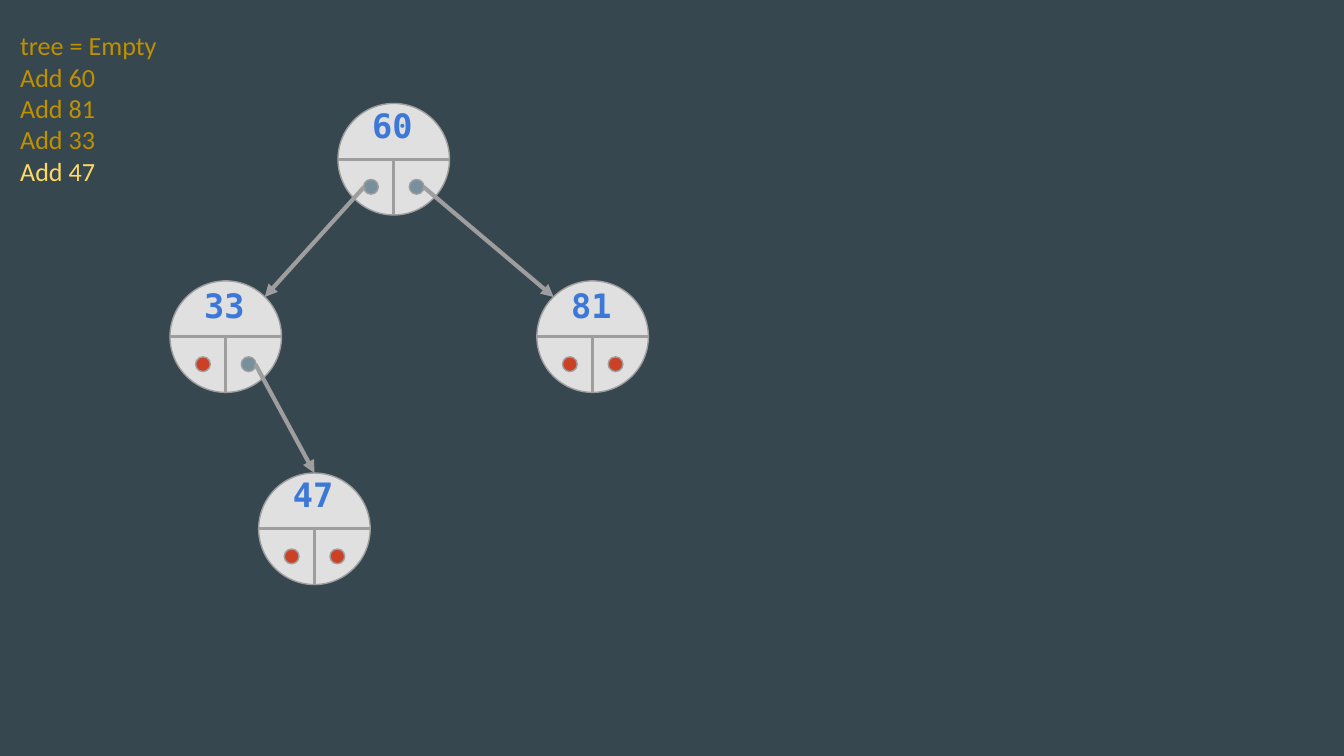
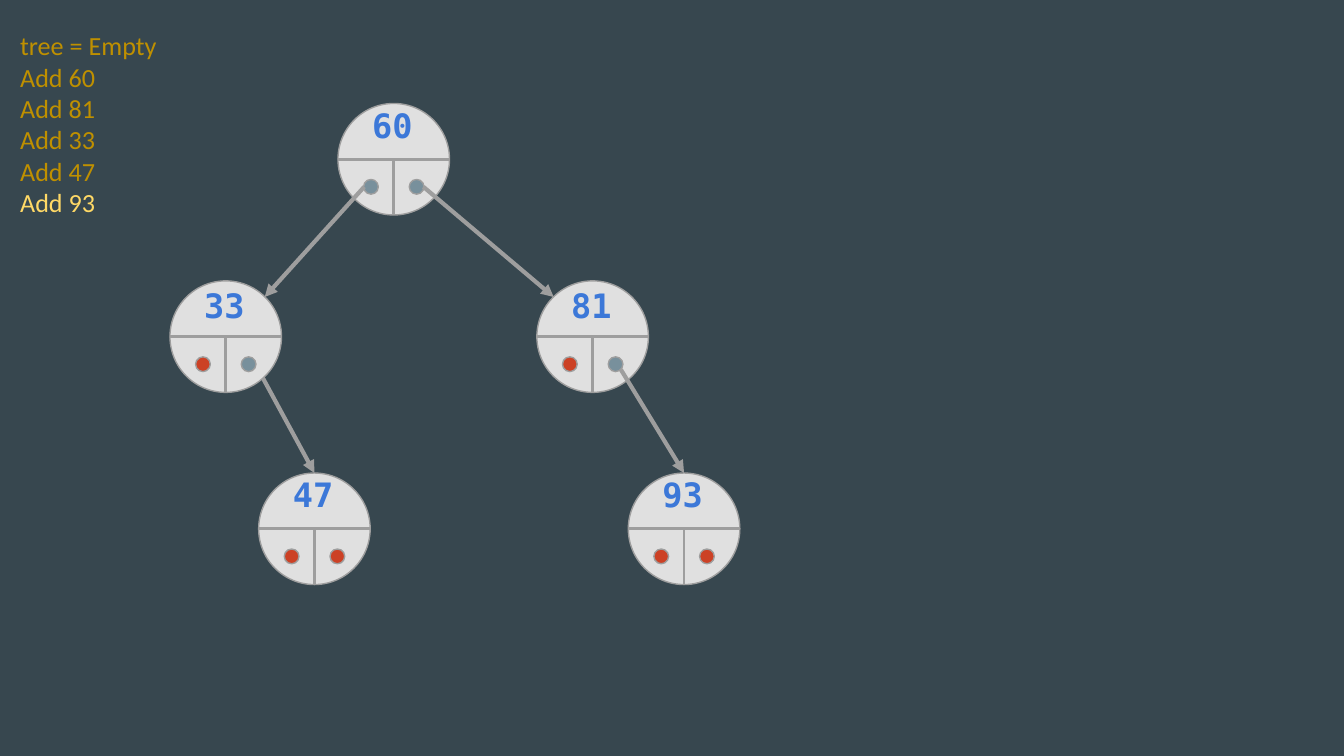
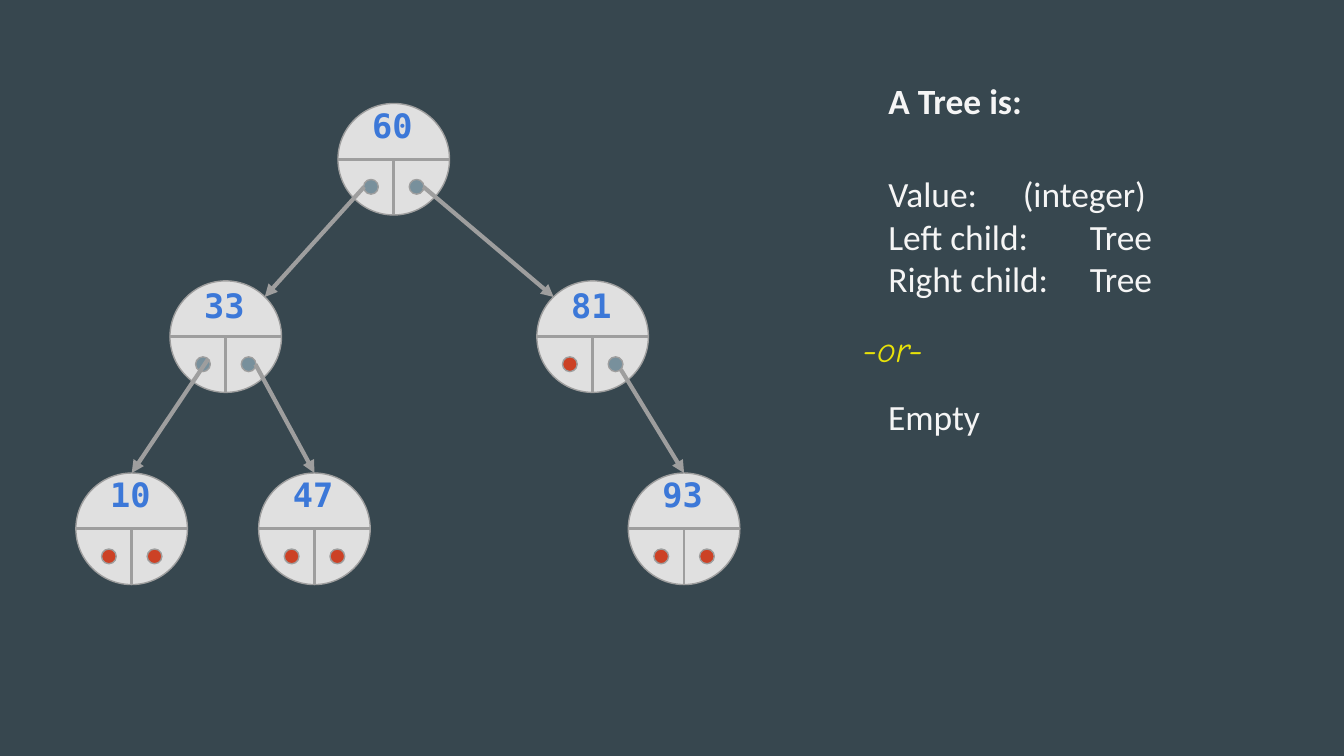
from lxml import etree
from pptx import Presentation
from pptx.dml.color import RGBColor
from pptx.enum.shapes import MSO_CONNECTOR, MSO_SHAPE
from pptx.enum.text import MSO_ANCHOR, MSO_AUTO_SIZE, PP_ALIGN
from pptx.oxml.ns import qn
from pptx.util import Inches, Pt

STRAIGHT, OVAL = MSO_CONNECTOR.STRAIGHT, MSO_SHAPE.OVAL
TOP, BOTTOM = MSO_ANCHOR.TOP, MSO_ANCHOR.BOTTOM
LEFT, CENTER = PP_ALIGN.LEFT, PP_ALIGN.CENTER
NO_AUTOFIT = MSO_AUTO_SIZE.NONE

COLORS = {
    "background": "37474F", "node": "E0E0E0", "line": "9E9E9E",
    "child": "78909C", "empty": "CC4125", "value": "3C78D8",
    "done": "BF9000", "current": "FFD966", "text": "F5F5F5", "or": "E8E209",
}
SANS, MONO, CASUAL = "Calibri", "DejaVu Sans Mono", "Comic Neue"

# Tree grid, in inches: node centre columns and row tops
NODE, DOT = 0.83, 0.11
DOT_X, DOT_Y = 0.17, 0.62
ROWS = [0.77, 2.09, 3.52]
LABEL_RISE = [0.09, 0.07, 0.09]
NODES = {60: (2.93, 0), 33: (1.68, 1), 81: (4.41, 1),
         10: (0.98, 2), 47: (2.34, 2), 93: (5.09, 2)}
# (parent, child): arrow start measured from the centre of the parent's dot
LINKS = {(60, 33): (-0.05, 0), (33, 10): (0.04, -0.04), (33, 47): (0.05, 0),
         (60, 81): (0.05, 0), (81, 93): (0.04, 0.04)}
SHOULDER_X, SHOULDER_Y = 0.29, 0.12
PANEL_X, PANEL_W, LINE_H = 6.51, 3.21, 0.52

SLIDES = [
    {"values": [60, 33, 81, 47], "steps": [60, 81, 33, 47], "front": []},
    {"values": [60, 81, 47, 93, 33], "steps": [60, 81, 33, 47, 93], "front": [33]},
    {"values": [60, 33, 81, 10, 47, 93], "steps": [], "front": []},
]


def draw_line(shapes, start, end, width, arrow=False):
    line = shapes.add_connector(STRAIGHT, *[Inches(v) for v in (*start, *end)])
    line.line.color.rgb = RGBColor.from_string(COLORS["line"])
    line.line.width = Pt(width)
    if arrow:
        etree.SubElement(line.line._get_or_add_ln(), qn("a:tailEnd"), type="triangle")
    etree.SubElement(line._element.spPr, qn("a:effectLst"))


def write(box, area, text, size, font, color, anchor=TOP, align=LEFT,
          bold=False, italic=False, tab=None):
    box.left, box.top, box.width, box.height = [Inches(v) for v in area]
    frame = box.text_frame
    frame.text = text
    frame.word_wrap = True
    frame.auto_size = NO_AUTOFIT
    frame.vertical_anchor = anchor
    frame.margin_left = frame.margin_right = Inches(0.1)
    frame.margin_top = frame.margin_bottom = Inches(0.1)
    for para in frame.paragraphs:
        properties = para._p.get_or_add_pPr()
        properties.set("marL", "0")
        properties.set("indent", "0")
        etree.SubElement(properties, qn("a:buNone"))
        if tab:
            tabs = etree.SubElement(properties, qn("a:tabLst"))
            etree.SubElement(tabs, qn("a:tab"), pos=str(Inches(tab)), algn="l")
        para.space_before = Pt(0)
        para.alignment = align
        for span in para.runs:
            span.font.size = Pt(size)
            span.font.name = font
            span.font.bold = bold
            span.font.italic = italic
            span.font.color.rgb = RGBColor.from_string(COLORS[color])


deck = Presentation()
deck.slide_width, deck.slide_height = Inches(10), Inches(5.625)

for content in SLIDES:
    page = deck.slides.add_slide(deck.slide_layouts[1])
    page.background.fill.solid()
    page.background.fill.fore_color.rgb = RGBColor.from_string(COLORS["background"])
    shapes = page.shapes
    title, body = page.placeholders
    values = content["values"]
    links = [link for link in LINKS if link[1] in values]

    # Nodes: a circle, its dividers and two child dots
    groups = {}
    for value in values:
        x, row = NODES[value]
        top = ROWS[row]
        middle = top + NODE / 2
        group = groups[value] = shapes.add_group_shape()
        sides = {NODES[child][0] > x for parent, child in links if parent == value}
        circles = [(x, middle, NODE, "node")]
        for right in (False, True):
            dot_x = x + (DOT_X if right else -DOT_X)
            circles.append((dot_x, top + DOT_Y, DOT, "child" if right in sides else "empty"))
        for number, (center_x, center_y, size, color) in enumerate(circles):
            circle = group.shapes.add_shape(
                OVAL, Inches(center_x - size / 2), Inches(center_y - size / 2),
                Inches(size), Inches(size))
            circle.shadow.inherit = False
            circle.fill.solid()
            circle.fill.fore_color.rgb = RGBColor.from_string(COLORS[color])
            circle.line.color.rgb = RGBColor.from_string(COLORS["line"])
            circle.line.width = Pt(0.75)
            if number == 0:
                draw_line(group.shapes, (x - NODE / 2, middle), (x + NODE / 2, middle), 1.5)
                draw_line(group.shapes, (x, top + NODE), (x, middle), 1.5)

    # Arrows: to the near shoulder in the middle row, to the top in the last row
    for parent, child in links:
        x, row = NODES[parent]
        child_x, child_row = NODES[child]
        side = 1 if child_x > x else -1
        shift_x, shift_y = LINKS[parent, child]
        start = (x + side * DOT_X + shift_x, ROWS[row] + DOT_Y + shift_y)
        end = (child_x, ROWS[child_row])
        if child_row == 1:
            end = (child_x - side * SHOULDER_X, ROWS[child_row] + SHOULDER_Y)
        draw_line(shapes, start, end, 2.25, arrow=True)

    # Nodes that cover the start of their arrows
    for value in content["front"]:
        shapes._spTree.append(groups[value]._element)

    # Node values
    for value in values:
        x, row = NODES[value]
        area = (x - NODE / 2 - 0.01, ROWS[row] - LABEL_RISE[row], NODE, 0.5)
        write(shapes.add_textbox(0, 0, 0, 0), area, str(value), 18, MONO, "value",
              BOTTOM, CENTER, bold=True)

    if content["steps"]:
        # Steps so far, the current one highlighted
        title._element.getparent().remove(title._element)
        steps = ["tree = Empty"] + [f"Add {value}" for value in content["steps"]]
        write(body, (0.05, 0.12, 1.79, 0.22 + 0.23 * len(steps)), "\n".join(steps),
              14, SANS, "done")
        current = body.text_frame.paragraphs[-1].runs[0]
        current.font.color.rgb = RGBColor.from_string(COLORS["current"])
    else:
        # Definition of a tree
        write(title, (PANEL_X, 0.49, PANEL_W, LINE_H), "A Tree is:", 19, SANS, "text",
              bold=True)
        write(body, (PANEL_X, 1.18, PANEL_W, 1.16),
              "Value:\t(integer)\nLeft child:\tTree\nRight child:\tTree",
              19, SANS, "text", tab=2)
        write(shapes.add_textbox(0, 0, 0, 0), (PANEL_X, 2.84, PANEL_W, LINE_H),
              "Empty", 19, SANS, "text")
        write(shapes.add_textbox(0, 0, 0, 0), (6.32, 2.33, 2.16, LINE_H),
              "-or-", 19, CASUAL, "or", italic=True)

deck.save("out.pptx")
